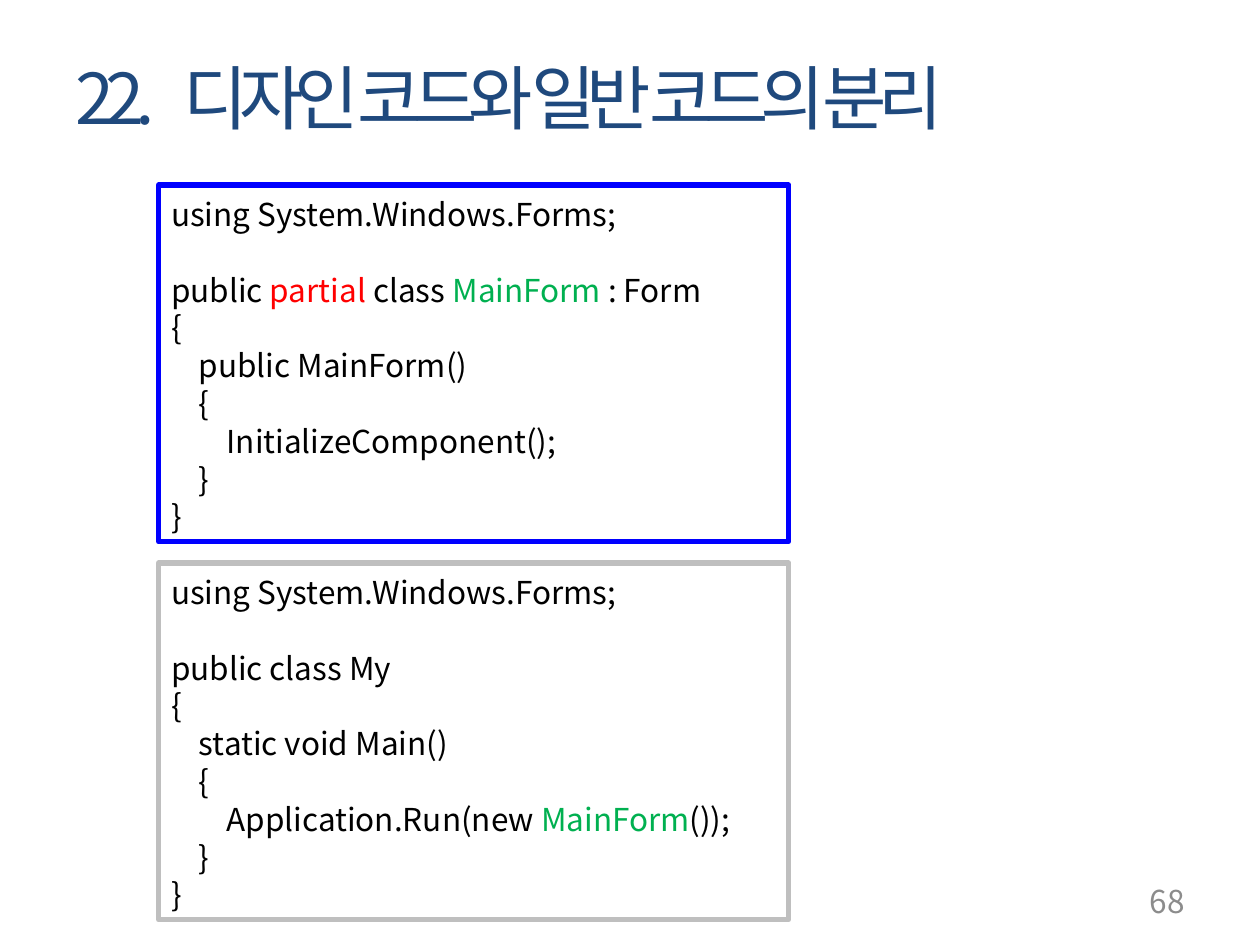
from dataclasses import dataclass

from lxml.etree import SubElement
from pptx import Presentation
from pptx.dml.color import RGBColor as Rgb
from pptx.enum.shapes import MSO_SHAPE as Kind
from pptx.enum.text import MSO_ANCHOR as Anchor, PP_ALIGN as Align
from pptx.oxml.ns import qn
from pptx.util import Cm, Pt


@dataclass(frozen=True)
class Theme:
    font: str = "Noto Sans CJK KR"
    title: str = "1F497D"
    page: str = "8C8C8C"
    code: str = "000000"
    red: str = "FF0000"
    green: str = "00B050"
    blue: str = "0000FF"
    gray: str = "BFBFBF"
    big: int = 40
    body: int = 18
    pitch: float = 21.6


look = Theme()


def add_run(para, text, size, color, gap=None):
    """Append a run; gap is the letter spacing in points."""
    run = para.add_run()
    run.text = text
    font = run.font
    font.name, font.size = look.font, Pt(size)
    font.color.rgb = Rgb.from_string(color)
    props = run._r.get_or_add_rPr()
    SubElement(props, qn("a:ea")).set("typeface", look.font)
    if gap is not None:
        props.set("spc", str(int(gap * 100)))


def add_label(left, top, width, height):
    """Add an empty, wrapping, vertically centred text box."""
    frame = slide.shapes.add_textbox(Cm(left), Cm(top), Cm(width), Cm(height)).text_frame
    frame.word_wrap = True
    frame.vertical_anchor = Anchor.MIDDLE
    return frame.paragraphs[0]


deck = Presentation()
deck.slide_width, deck.slide_height = Cm(25.4), Cm(19.05)
slide = deck.slides.add_slide(deck.slide_layouts[6])

# Title: the space after the number is wider than the others
title = add_label(1.27, 0.76, 22.86, 2.36)
for text, gap in [("22.", -5), (" ", 7.5), ("디자인 코드와 일반 코드의 분리", -5)]:
    add_run(title, text, look.big, look.title, gap)

page = add_label(18.21, 17.65, 5.92, 1.02)
page.alignment = Align.RIGHT
add_run(page, "68", look.body, look.page)

# Each line of code: indent level, then its words; marked words have a colour
marks = {"partial": look.red, "MainForm": look.green}
form = [
    (0, ["using System.Windows.Forms;"]),
    (0, ["public ", "partial", " class ", "MainForm", " : Form"]),
    (0, ["{"]),
    (1, ["public MainForm()"]),
    (1, ["{"]),
    (2, ["InitializeComponent();"]),
    (1, ["}"]),
    (0, ["}"]),
]
main = [
    (0, ["using System.Windows.Forms;"]),
    (0, ["public class My"]),
    (0, ["{"]),
    (1, ["static void Main()"]),
    (1, ["{"]),
    (2, ["Application.Run(new ", "MainForm", "());"]),
    (1, ["}"]),
    (0, ["}"]),
]

for top, edge, code in [(3.73, look.blue, form), (11.35, look.gray, main)]:
    box = slide.shapes.add_shape(Kind.RECTANGLE, Cm(3.2), Cm(top), Cm(12.7), Cm(7.19))
    box.shadow.inherit = False
    box.fill.background()
    box.line.color.rgb = Rgb.from_string(edge)
    box.line.width = Pt(3)
    frame = box.text_frame
    frame.word_wrap = True
    frame.vertical_anchor = Anchor.TOP
    frame.margin_top = Cm(0.2)
    frame.margin_bottom = Cm(0)
    for row, (level, words) in enumerate(code):
        para = frame.add_paragraph() if row else frame.paragraphs[0]
        para.alignment = Align.LEFT
        para.line_spacing = Pt(look.pitch)
        para.space_before = Pt(look.pitch if row == 1 else 0)
        para._p.get_or_add_pPr().set("marL", str(Cm(0.56 * level)))
        for word in words:
            add_run(para, word, look.body, marks.get(word, look.code))

deck.save("out.pptx")
